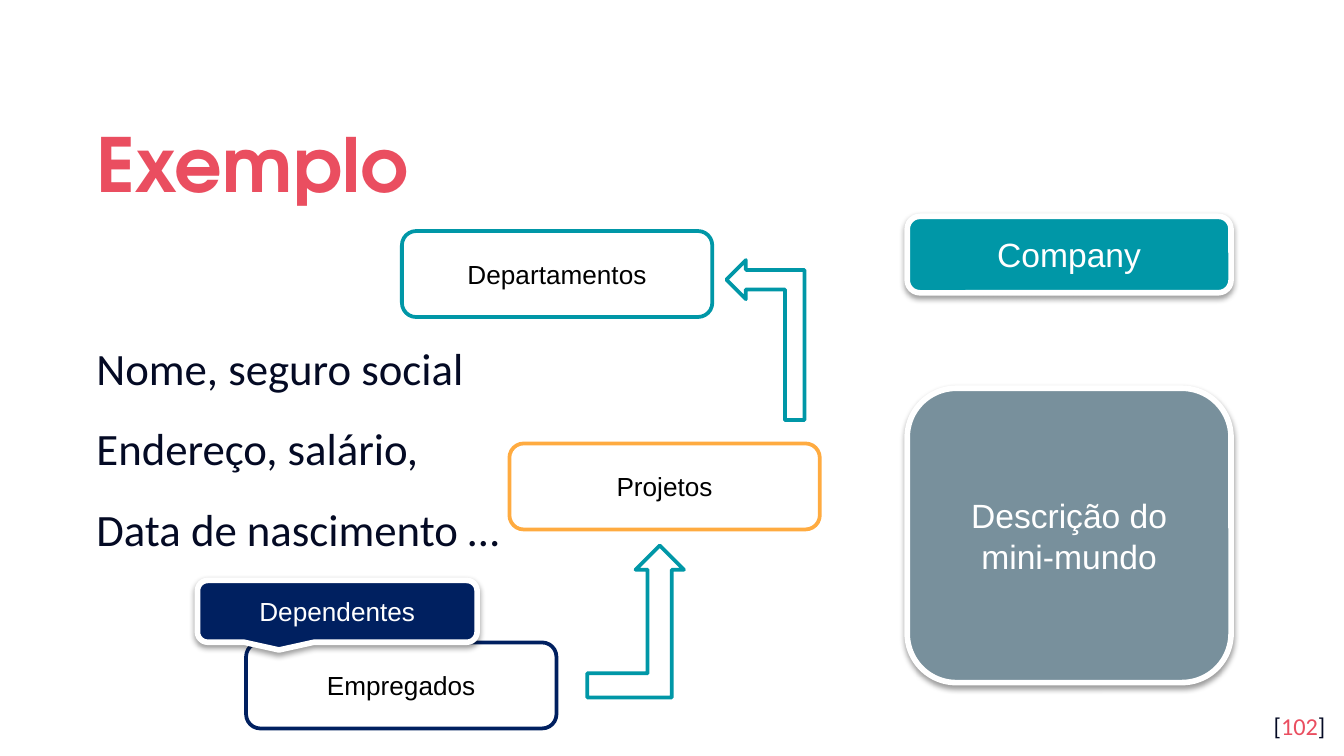
import pptx
import pptx.util
import pptx.dml.color
import pptx.enum.shapes
import pptx.enum.text
import pptx.oxml
import pptx.oxml.ns
from dataclasses import dataclass

Pt = pptx.util.Pt
SHAPE = pptx.enum.shapes.MSO_SHAPE
ALIGN = pptx.enum.text.PP_ALIGN
ANCHOR = pptx.enum.text.MSO_ANCHOR


@dataclass(frozen=True)
class Theme:
    ink: str = "040A24"
    accent: str = "EA4E60"
    teal: str = "0097A7"
    slate: str = "78909C"
    orange: str = "FFAB40"
    navy: str = "002060"
    white: str = "FFFFFF"
    black: str = "000000"
    title_font: str = "TeX Gyre Adventor"
    body_font: str = "Calibri"
    shape_font: str = "Arial"
    title: int = 40
    body: int = 24
    panel: int = 18
    label: int = 14
    page: int = 13


T = Theme()


def rgb(color):
    return pptx.dml.color.RGBColor.from_string(color)


def set_font(font, name, size, color, bold=False):
    font.name, font.size, font.bold = name, Pt(size), bold
    font.color.rgb = rgb(color)


def set_frame(tf, anchor):
    tf.word_wrap = True
    tf.auto_size = pptx.enum.text.MSO_AUTO_SIZE.NONE
    tf.vertical_anchor = anchor
    tf.margin_left = tf.margin_right = tf.margin_top = tf.margin_bottom = Pt(7.2)


def add_shadow(sp):
    ns = pptx.oxml.ns.nsdecls("a")
    effects = sp.element.spPr.find(pptx.oxml.ns.qn("a:effectLst"))
    effects.append(pptx.oxml.parse_xml(
        f'<a:outerShdw {ns} blurRad="{Pt(3.1)}" dist="{Pt(1.6)}" dir="5400000" '
        f'algn="t" rotWithShape="0"><a:srgbClr val="{T.black}">'
        '<a:alpha val="38000"/></a:srgbClr></a:outerShdw>'))


def add_shape(s, kind, box, fill, line, width):
    sp = s.shapes.add_shape(kind, *map(Pt, box))
    sp.shadow.inherit = False
    sp.fill.solid()
    sp.fill.fore_color.rgb = rgb(fill)
    sp.line.color.rgb = rgb(line)
    sp.line.width = Pt(width)
    return sp


def add_label(sp, text, size, color):
    tf = sp.text_frame
    tf.word_wrap = True
    tf.vertical_anchor = ANCHOR.MIDDLE
    p = tf.paragraphs[0]
    p.text, p.alignment = text, ALIGN.CENTER
    set_font(p.font, T.shape_font, size, color)


def raised_box(s, kind, box, text, fill, size):
    sp = add_shape(s, kind, box, fill, T.white, 3)
    add_shadow(sp)
    add_label(sp, text, size, T.white)


def add_title(s, box, text):
    sp = s.shapes.title
    sp.left, sp.top, sp.width, sp.height = map(Pt, box)
    tf = sp.text_frame
    set_frame(tf, ANCHOR.MIDDLE)
    p = tf.paragraphs[0]
    p.text, p.alignment, p.line_spacing = text, ALIGN.LEFT, 1.15
    set_font(p.font, T.title_font, T.title, T.accent, True)


def add_body(s, box, lines):
    tf = s.shapes.add_textbox(*map(Pt, box)).text_frame
    set_frame(tf, ANCHOR.MIDDLE)
    for i, line in enumerate(lines):
        p = tf.add_paragraph() if i else tf.paragraphs[0]
        p.text, p.alignment, p.line_spacing = line, ALIGN.JUSTIFY, 1.15
        if i:
            p.space_before = Pt(10)
        set_font(p.font, T.body_font, T.body, T.ink)


def add_page_number(s, box, number):
    tf = s.shapes.add_textbox(*map(Pt, box)).text_frame
    set_frame(tf, ANCHOR.TOP)
    p = tf.paragraphs[0]
    p.alignment = ALIGN.RIGHT
    for text, color in (("[", T.ink), (number, T.accent), ("]", T.ink)):
        r = p.add_run()
        r.text = text
        set_font(r.font, T.body_font, T.page, color)


def add_company_panel(s, box):
    x, y, w, h = box
    lower = 157.7
    raised_box(s, SHAPE.ROUNDED_RECTANGLE, (x, y, w, 41), "Company", T.teal, T.panel)
    raised_box(s, SHAPE.ROUNDED_RECTANGLE, (x, y + h - lower, w, lower),
               "Descrição do mini-mundo", T.slate, T.panel)


def add_entity_diagram(s, box):
    x, y, w, h = box
    entity_w, entity_h = 166.3, 46.1
    for dx, dy, text, color in (
        (109.5, 0, "Departamentos", T.teal),
        (167.1, 113.8, "Projetos", T.orange),
        (26, h - entity_h, "Empregados", T.navy),
    ):
        sp = add_shape(s, SHAPE.ROUNDED_RECTANGLE,
                       (x + dx, y + dy, entity_w, entity_h), T.white, color, 2)
        add_label(sp, text, T.label, T.black)
    for dx, dy, aw, ah, angle in ((208.8, 168.5, 51.8, 81.4, 0),
                                  (261.4, 37.5, 85.7, 41.8, 270)):
        sp = add_shape(s, SHAPE.BENT_UP_ARROW, (x + dx, y + dy, aw, ah),
                       T.white, T.teal, 2)
        sp.rotation = angle
    raised_box(s, SHAPE.ROUNDED_RECTANGULAR_CALLOUT, (x, y + 187.2, 149.8, 33.1),
               "Dependentes", T.navy, T.label)


def main():
    prs = pptx.Presentation()
    prs.slide_width, prs.slide_height = Pt(720), Pt(405)
    s = prs.slides.add_slide(prs.slide_layouts[5])
    s.background.fill.solid()
    s.background.fill.fore_color.rgb = rgb(T.white)
    add_title(s, (44.6, 50.4, 631.4, 66.2), "Exemplo")
    add_body(s, (44.6, 116.6, 631.4, 242.6),
             ("Nome, seguro social", "Endereço, salário,", "Data de nascimento …"))
    add_page_number(s, (673.9, 373.7, 43.2, 31), "102")
    add_company_panel(s, (486, 115.9, 173.5, 249.8))
    add_entity_diagram(s, (105.8, 123.8, 333.4, 266.5))
    prs.save("out.pptx")


if __name__ == "__main__":
    main()
